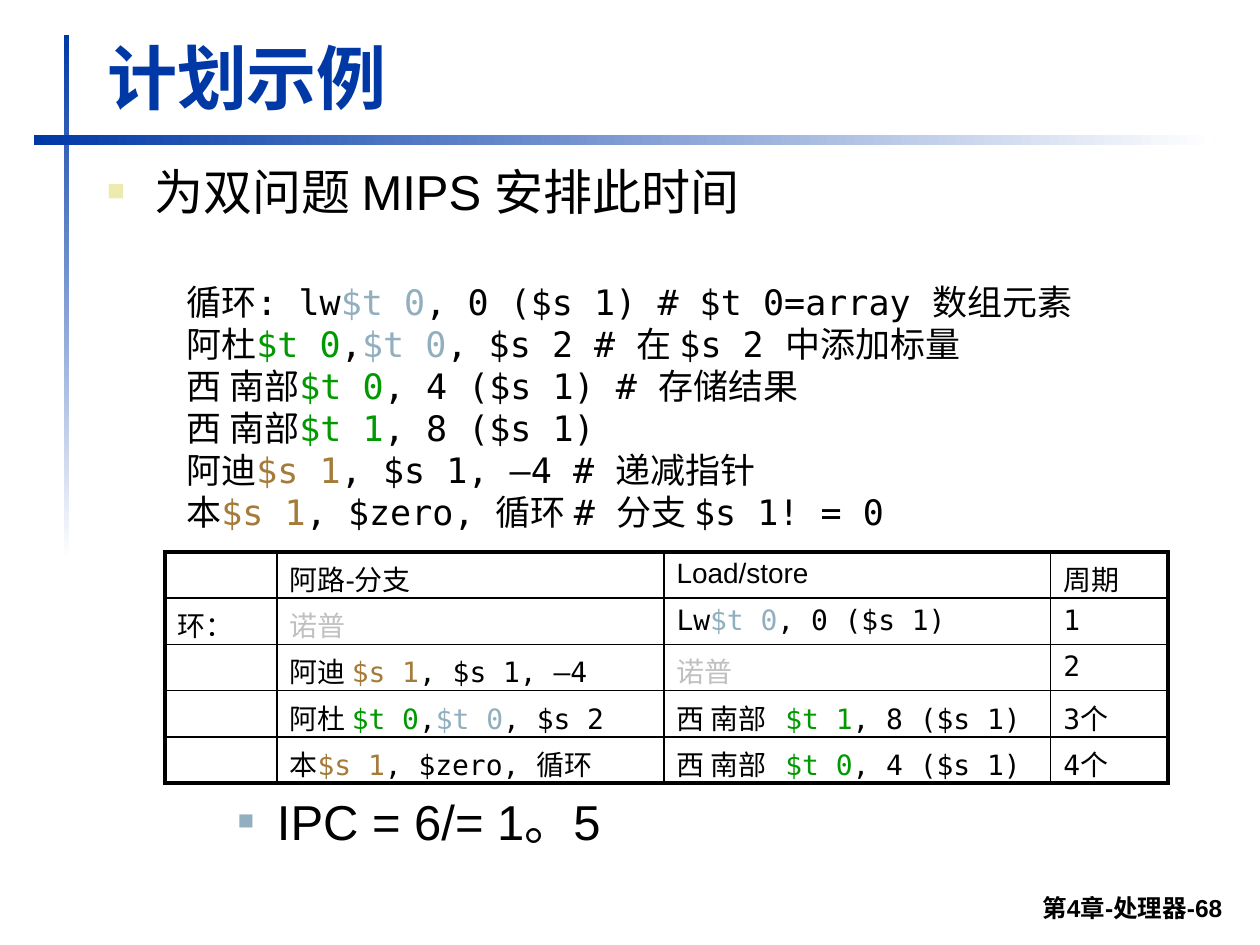
from lxml import etree
from pptx import Presentation
from pptx.dml.color import RGBColor
from pptx.enum.shapes import MSO_SHAPE
from pptx.enum.text import MSO_ANCHOR, PP_ALIGN
from pptx.oxml.ns import qn
from pptx.util import Pt

PX = 9144  # 100 px to the inch
RECTANGLE = MSO_SHAPE.RECTANGLE
TOP, BOTTOM = MSO_ANCHOR.TOP, MSO_ANCHOR.BOTTOM
LEFT, RIGHT = PP_ALIGN.LEFT, PP_ALIGN.RIGHT

BLACK = RGBColor(0x00, 0x00, 0x00)
WHITE = RGBColor(0xFF, 0xFF, 0xFF)
NAVY = RGBColor(0x00, 0x39, 0xA6)
CREAM = RGBColor(0xEC, 0xEA, 0xAC)
STEEL = RGBColor(0x91, 0xAF, 0xBF)
GREEN = RGBColor(0x00, 0x99, 0x00)
BROWN = RGBColor(0xA4, 0x7B, 0x38)
GREY = RGBColor(0xC0, 0xC0, 0xC0)
SANS, MONO = "Arial", "DejaVu Sans Mono"

# "|" starts a new colour, named by the letter that follows it
COLOR_KEYS = {"k": BLACK, "s": STEEL, "g": GREEN, "b": BROWN, "n": GREY}

CODE = [
    "循环: lw|s$t 0|k, 0 ($s 1) # $t 0=array 数组元素\n"
    "阿杜|g$t 0|k,|s$t 0|k, $s 2 # 在 $s 2 中添加标量\n"
    "西 南部|g$t 0|k, 4 ($s 1) # 存储结果",
    "西 南部|g$t 1|k, 8 ($s 1)\n"
    "阿迪|b$s 1|k, $s 1, –4 # 递减指针\n"
    "本|b$s 1|k, $zero, 循环 # 分支 $s 1! = 0",
]
SCHEDULE = [
    ["", "阿路-分支", "Load/store", "周期"],
    ["环：", "|n诺普", "Lw|s$t 0|k, 0 ($s 1)", "1"],
    ["", "阿迪 |b$s 1|k, $s 1, –4", "|n诺普", "2"],
    ["", "阿杜 |g$t 0|k,|s$t 0|k, $s 2", "西 南部   |g$t 1|k, 8 ($s 1)", "3个"],
    ["", "本|b$s 1|k, $zero, 循环", "西 南部   |g$t 0|k, 4 ($s 1)", "4个"],
]
COLUMN_WIDTHS = [89, 307, 307, 93]


def emu(*lengths):
    return [length * PX for length in lengths]


def write(paragraph, text, size, font=SANS, color=BLACK, bold=False, align=LEFT):
    paragraph.alignment = align
    paragraph.space_before = Pt(0)
    for index, segment in enumerate(text.split("|")):
        if index:
            color, segment = COLOR_KEYS[segment[0]], segment[1:]
        for line_number, line in enumerate(segment.split("\n")):
            if line_number:
                paragraph.add_line_break()
            if line:
                run = paragraph.add_run()
                run.text = line
                run.font.size = Pt(size)
                run.font.name = font
                run.font.bold = bold
                run.font.color.rgb = color


def add_bullet(paragraph, color, percent, margin, hang):
    props = paragraph._p.get_or_add_pPr()
    props.set("marL", str(margin * PX))
    props.set("indent", str(-hang * PX))
    bullet_color = etree.SubElement(props, qn("a:buClr"))
    etree.SubElement(bullet_color, qn("a:srgbClr"), val=str(color))
    etree.SubElement(props, qn("a:buSzPct"), val=str(percent * 1000))
    etree.SubElement(props, qn("a:buFont"), typeface=SANS)
    etree.SubElement(props, qn("a:buChar"), char="■")


def place(placeholder, box, anchor):
    placeholder.left, placeholder.top, placeholder.width, placeholder.height = emu(*box)
    placeholder.text_frame.vertical_anchor = anchor
    return placeholder.text_frame.paragraphs[0]


def add_text_box(slide, box, anchor=TOP, wrap=True):
    frame = slide.shapes.add_textbox(*emu(*box)).text_frame
    frame.word_wrap = wrap
    frame.vertical_anchor = anchor
    return frame


def add_rule(slide, box, angle):
    rule = slide.shapes.add_shape(RECTANGLE, *emu(*box))
    rule.shadow.inherit = False
    rule.line.fill.background()
    rule.fill.gradient()
    rule.fill.gradient_angle = angle
    for stop, position, color in zip(rule.fill.gradient_stops, (0, 1), (NAVY, WHITE)):
        stop.position = position
        stop.color.rgb = color


def set_border(cell, side, width):
    line = etree.SubElement(cell._tc.get_or_add_tcPr(), qn(f"a:ln{side}"), w=str(Pt(width)))
    fill = etree.SubElement(line, qn("a:solidFill"))
    etree.SubElement(fill, qn("a:srgbClr"), val=str(BLACK))


def add_heading(slide, box):
    write(place(slide.shapes.title, box, BOTTOM), "计划示例", 40, color=NAVY, bold=True)


def add_task(slide, box):
    paragraph = place(slide.placeholders[1], box, TOP)
    add_bullet(paragraph, CREAM, 60, 38, 38)
    write(paragraph, "为双问题 MIPS 安排此时间", 28)


def add_code(slide, box):
    frame = add_text_box(slide, box, wrap=False)
    for index, block in enumerate(CODE):
        paragraph = frame.add_paragraph() if index else frame.paragraphs[0]
        write(paragraph, block, 20, font=MONO)


def add_schedule(slide, box):
    last_row, last_column = len(SCHEDULE) - 1, len(COLUMN_WIDTHS) - 1
    table = slide.shapes.add_table(last_row + 1, last_column + 1, *emu(*box)).table
    table.first_row = table.horz_banding = False
    for column, width in zip(table.columns, COLUMN_WIDTHS):
        column.width = width * PX
    for r, row in enumerate(SCHEDULE):
        for c, text in enumerate(row):
            cell = table.cell(r, c)
            paragraph = cell.text_frame.paragraphs[0]
            write(paragraph, text, 16, font=MONO if r else SANS)
            if not text:
                paragraph._p.get_or_add_endParaRPr().set("sz", "1600")
            # Thick frame, medium line under the header, thin lines inside
            set_border(cell, "L", 1 if c else 2.25)
            set_border(cell, "R", 2.25 if c == last_column else 1)
            set_border(cell, "T", {0: 2.25, 1: 1.5}.get(r, 1))
            set_border(cell, "B", {0: 1.5, last_row: 2.25}.get(r, 1))
            cell.fill.background()


def add_result(slide, box):
    paragraph = add_text_box(slide, box).paragraphs[0]
    paragraph.level = 1
    add_bullet(paragraph, STEEL, 55, 81, 31)
    write(paragraph, "IPC = 6/= 1。5", 28)


def add_footer(slide, box):
    frame = add_text_box(slide, box, anchor=BOTTOM)
    write(frame.paragraphs[0], "第4章-处理器-68", 14, bold=True, align=RIGHT)


def main():
    presentation = Presentation()
    presentation.slide_width, presentation.slide_height = emu(1000, 750)
    slide = presentation.slides.add_slide(presentation.slide_layouts[1])

    add_rule(slide, (51, 28, 4, 417), 270)
    add_rule(slide, (27, 107, 937, 8), 0)
    add_heading(slide, (75, 22, 903, 77))
    add_task(slide, (75, 123, 905, 76))
    add_footer(slide, (185, 698, 795, 39))
    add_code(slide, (138, 218, 811, 246))
    add_schedule(slide, (131, 438, 796, 183))
    add_result(slide, (129, 623, 850, 71))

    presentation.save("out.pptx")


if __name__ == "__main__":
    main()
